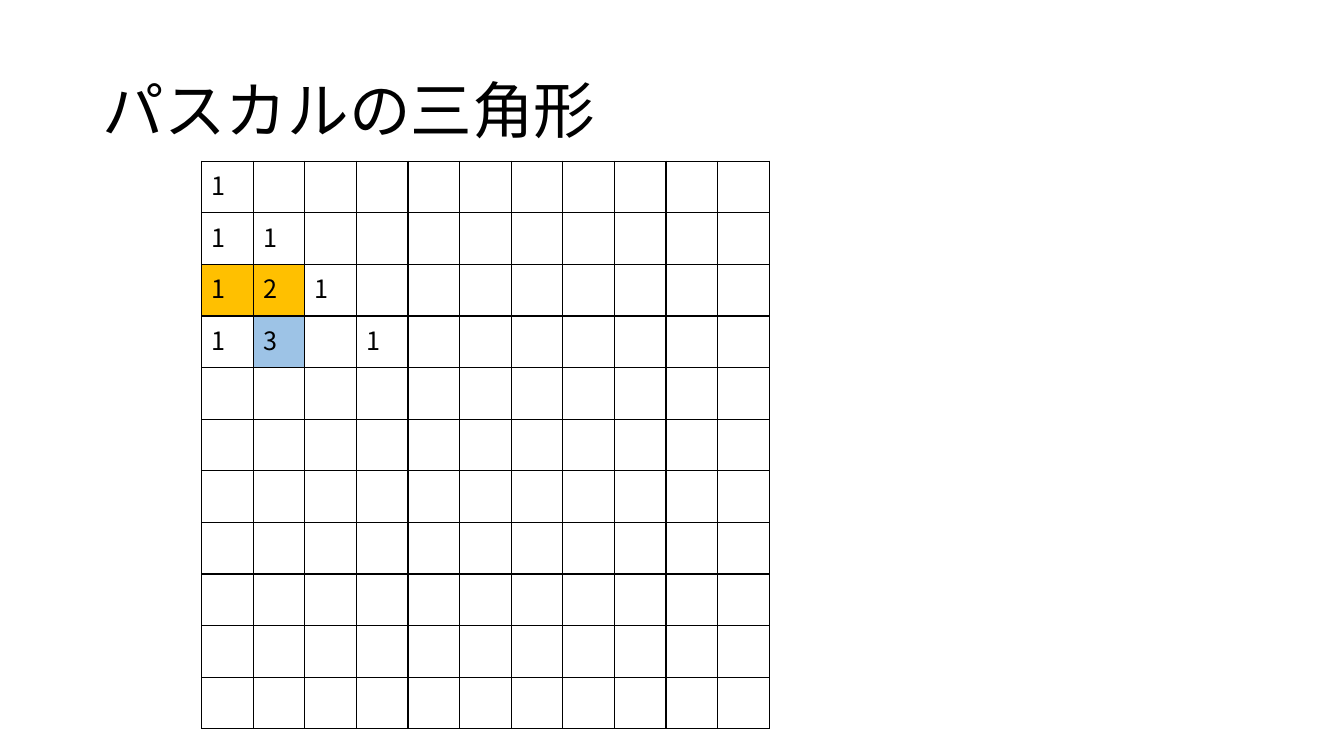
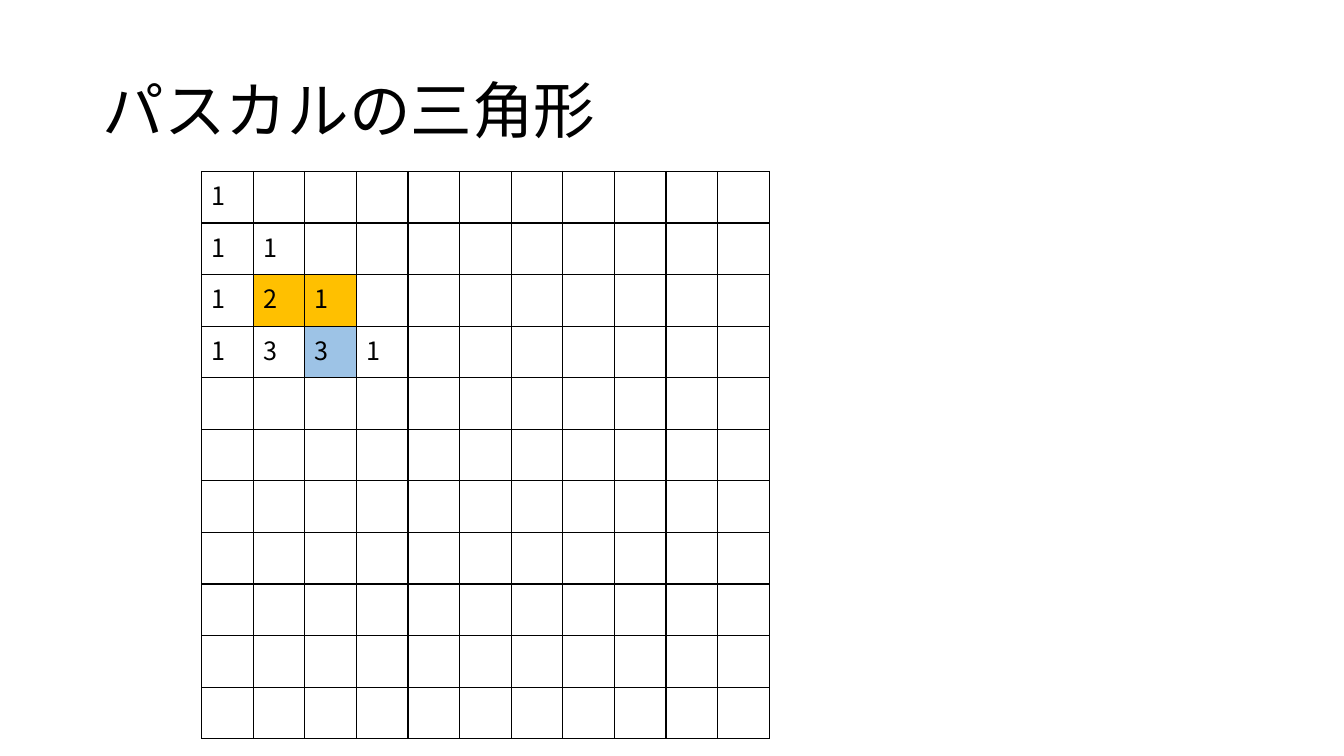
"""Build two slides that fill in one row of Pascal's triangle step by step."""
from math import comb

from lxml import etree
from pptx import Presentation
from pptx.dml.color import RGBColor
from pptx.enum.text import MSO_ANCHOR
from pptx.oxml.ns import qn
from pptx.util import Inches, Pt

MIDDLE = MSO_ANCHOR.MIDDLE
BLACK = RGBColor(0x00, 0x00, 0x00)
WHITE = RGBColor(0xFF, 0xFF, 0xFF)
ADDEND = RGBColor(0xFF, 0xC0, 0x00)
RESULT = RGBColor(0x9D, 0xC3, 0xE6)
FONT = "Noto Sans CJK JP"
TITLE = "パスカルの三角形"
GRID_SIZE = 11
GRID_SIDE = Inches(5.63)
GRID_LEFT = Inches(2)
NEW_ROW = 3
BLANK_LAYOUT = 6
STEPS = [(1, 1.6), (2, 1.7)]


def style_text(paragraph, size):
    """Apply the shared font to every run of a paragraph."""
    for run in paragraph.runs:
        run.font.size = Pt(size)
        run.font.name = FONT
        run.font.color.rgb = BLACK
        east_asian = etree.SubElement(run.font._element, qn("a:ea"))
        east_asian.set("typeface", FONT)


def add_title(slide):
    """Place the shared slide title."""
    title = slide.shapes.add_textbox(
        Inches(0.92), Inches(0.4), Inches(11.5), Inches(1.45))
    frame = title.text_frame
    frame.word_wrap = True
    frame.vertical_anchor = MIDDLE
    frame.text = TITLE
    frame.paragraphs[0].line_spacing = 0.9
    style_text(frame.paragraphs[0], 44)


def add_borders(cell):
    """Draw a thin black line on all four sides of a cell."""
    properties = cell._tc.get_or_add_tcPr()
    for side in ("a:lnL", "a:lnR", "a:lnT", "a:lnB"):
        line = etree.SubElement(properties, qn(side), w=str(Pt(1)))
        fill = etree.SubElement(line, qn("a:solidFill"))
        etree.SubElement(fill, qn("a:srgbClr"), val=str(BLACK))


def entry(row, column, target):
    """Return the number known at this step, or an empty string."""
    known = row < NEW_ROW or (
        row == NEW_ROW and (column <= target or column == row))
    return str(comb(row, column)) if known and column <= row else ""


def cell_color(row, column, target):
    """Return the highlight of the sum and its two addends."""
    if row == NEW_ROW and column == target:
        return RESULT
    if row == NEW_ROW - 1 and column in (target - 1, target):
        return ADDEND
    return WHITE


def add_triangle(slide, target, top):
    """Draw the grid with the triangle filled up to the target column."""
    grid = slide.shapes.add_table(
        GRID_SIZE, GRID_SIZE, GRID_LEFT, Inches(top), GRID_SIDE, GRID_SIDE).table
    grid.first_row = False
    grid.horz_banding = False
    for row in range(GRID_SIZE):
        for column in range(GRID_SIZE):
            cell = grid.cell(row, column)
            cell.text_frame.text = entry(row, column, target)
            style_text(cell.text_frame.paragraphs[0], 18)
            add_borders(cell)
            cell.fill.solid()
            cell.fill.fore_color.rgb = cell_color(row, column, target)


def main():
    """Build and save the presentation."""
    deck = Presentation()
    deck.slide_width = Inches(13.33)
    deck.slide_height = Inches(7.5)
    for target, top in STEPS:
        slide = deck.slides.add_slide(deck.slide_layouts[BLANK_LAYOUT])
        add_title(slide)
        add_triangle(slide, target, top)
    deck.save("out.pptx")


main()
